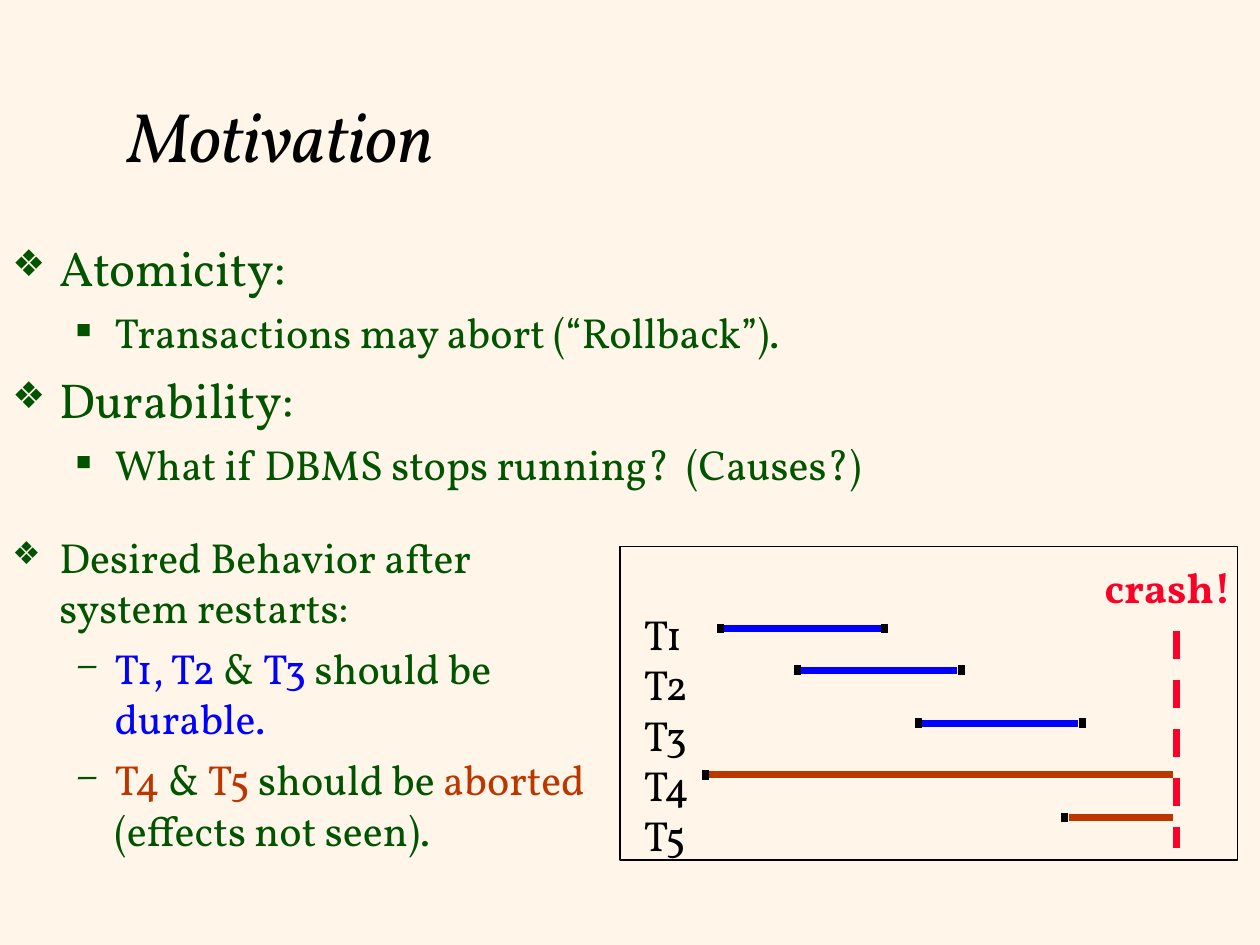
from lxml.etree import SubElement
from pptx import Presentation
from pptx.dml.color import RGBColor
from pptx.enum.dml import MSO_LINE
from pptx.enum.shapes import MSO_CONNECTOR as Conn, MSO_SHAPE as Shape
from pptx.enum.text import MSO_ANCHOR as Anchor, MSO_AUTO_SIZE as Auto, PP_ALIGN as Align
from pptx.oxml.ns import qn
from pptx.util import Cm, Pt

FONT = "Vollkorn"
CREAM = RGBColor(0xFF, 0xF6, 0xE9)
BLACK = RGBColor(0, 0, 0)
GREEN = RGBColor(0, 0x54, 0)
BLUE = RGBColor(0, 0, 0xFF)
RUST = RGBColor(0xBC, 0x37, 0)
RED = RGBColor(0xFC, 0x01, 0x28)

# Paragraph: level, bullet, size, space before, runs of (text, colour)
GOALS = [
    (0, "❖", 28, 7, [("Atomicity:", GREEN)]),
    (1, "▪", 24, 6, [("Transactions may abort (“Rollback”).", GREEN)]),
    (0, "❖", 28, 7, [("Durability:", GREEN)]),
    (1, "▪", 24, 6, [("What if DBMS stops running?  (Causes?)", GREEN)]),
]
AFTER = [
    (0, "❖", 24, 6, [("Desired Behavior after system restarts:", GREEN)]),
    (1, "–", 24, 6, [("T1, T2 ", BLUE), ("& ", GREEN), ("T3", BLUE),
                     (" should be ", GREEN), ("durable.", BLUE)]),
    (1, "–", 24, 6, [("T4", RUST), (" & ", GREEN), ("T5 ", RUST),
                     ("should be ", GREEN), ("aborted", RUST),
                     (" (effects not seen).", GREEN)]),
]
INDENT = [(0.95, -0.95), (2.06, -0.79)]  # left margin, hanging, by level
SIZE = [75, 100]  # bullet percent by level

# Transaction: name, start, end, height on the slide, colour, committed
CRASH = 23.65
RUNS = [
    ("T1", 14.6, 17.75, 12.67, BLUE, True),
    ("T2", 16.15, 19.3, 13.51, BLUE, True),
    ("T3", 18.59, 21.74, 14.58, BLUE, True),
    ("T4", 14.3, CRASH, 15.62, RUST, False),
    ("T5", 21.54, CRASH, 16.48, RUST, False),
]
GAP, HALF = 0.08, 0.1  # tick's distance from the bar, half its height


def write(para, text, size=24, color=BLACK, bold=False, italic=False):
    run = para.add_run()
    run.text = text
    font = run.font
    font.name, font.size, font.bold, font.italic = FONT, Pt(size), bold, italic
    font.color.rgb = color


def mark(para, level, char):
    """Give a paragraph its indent and bullet."""
    props = para._p.get_or_add_pPr()
    left, hang = INDENT[level]
    props.set("marL", str(Cm(left)))
    props.set("indent", str(Cm(hang)))
    tint = SubElement(props, qn("a:buClr"))
    SubElement(tint, qn("a:srgbClr")).set("val", str(GREEN))
    SubElement(props, qn("a:buSzPct")).set("val", str(SIZE[level] * 1000))
    SubElement(props, qn("a:buFont")).set("typeface", FONT)
    SubElement(props, qn("a:buChar")).set("char", char)


def box(slide, *area):
    frame = slide.shapes.add_textbox(*map(Cm, area)).text_frame
    frame.word_wrap = True
    return frame


def rows(frame, items):
    """Yield one paragraph of the frame for each item."""
    for i, item in enumerate(items):
        yield (frame.add_paragraph() if i else frame.paragraphs[0]), item


def outline(slide, items, *area):
    for para, (level, char, size, before, runs) in rows(box(slide, *area), items):
        para.level = level
        para.space_before = Pt(before)
        mark(para, level, char)
        for text, color in runs:
            write(para, text, size=size, color=color)


def rule(slide, x1, y1, x2, y2, color=BLACK):
    bar = slide.shapes.add_connector(Conn.STRAIGHT, *map(Cm, (x1, y1, x2, y2)))
    bar.line.color.rgb = color
    bar.line.width = Pt(4)
    SubElement(bar._element.spPr, qn("a:effectLst"))
    return bar


def head(slide, text):
    title = slide.shapes.title
    title.left, title.top, title.width, title.height = map(Cm, (2.34, 1.17, 21.59, 3.07))
    frame = title.text_frame
    frame.auto_size = Auto.NONE
    frame.vertical_anchor = Anchor.MIDDLE
    frame.paragraphs[0].alignment = Align.LEFT
    write(frame.paragraphs[0], text, size=40, italic=True)


def chart(slide):
    """Draw the timeline of transactions up to the crash."""
    write(box(slide, 22.02, 11.2, 3.3, 1.27).paragraphs[0], "crash!", color=RED, bold=True)
    for para, run in rows(box(slide, 12.73, 12.14, 1.5, 5.33), RUNS):
        write(para, run[0])

    for _, start, end, y, color, _ in RUNS:
        rule(slide, start, y, end, y, color)
    rule(slide, 23.72, 12.73, 23.72, 17.09, RED).line.dash_style = MSO_LINE.DASH
    for _, start, end, y, _, done in RUNS:
        for x in [start - GAP] + [end + GAP] * done:
            rule(slide, x, y - HALF, x, y + HALF)

    edge = slide.shapes.add_shape(Shape.RECTANGLE, *map(Cm, (12.5, 11.02, 12.45, 6.32)))
    edge.shadow.inherit = False
    edge.fill.background()
    edge.line.color.rgb = BLACK
    edge.line.width = Pt(1)


def main():
    deck = Presentation()
    deck.slide_width, deck.slide_height = Cm(25.4), Cm(19.05)
    slide = deck.slides.add_slide(deck.slide_layouts[5])
    fill = slide.background.fill
    fill.solid()
    fill.fore_color.rgb = CREAM
    head(slide, "Motivation")
    outline(slide, GOALS, 0, 4.66, 19.05, 5.72)
    outline(slide, AFTER, 0, 10.58, 12.5, 7.41)
    chart(slide)
    deck.save("out.pptx")


if __name__ == "__main__":
    main()
